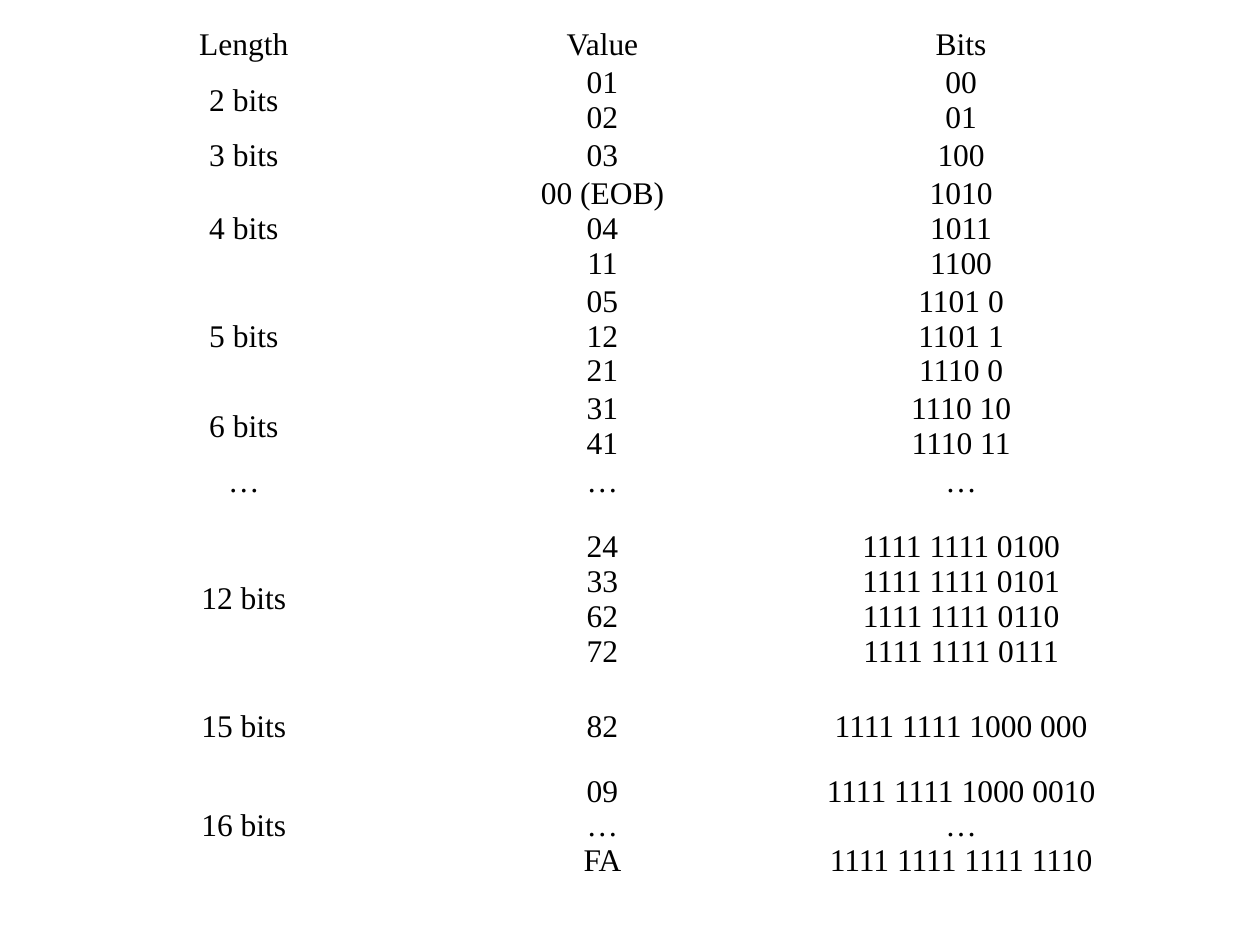
from pptx import Presentation
from pptx.dml.color import RGBColor
from pptx.enum.text import MSO_ANCHOR, PP_ALIGN
from pptx.util import Cm, Pt

BLACK = RGBColor(0x00, 0x00, 0x00)
WHITE = RGBColor(0xFF, 0xFF, 0xFF)
FONT = "Times New Roman"
COLUMN_WIDTH = Cm(7.23)
CODES = [
    (0.38, "Length", "Value", "Bits"),
    (0.38, "2 bits", "01\n02", "00\n01"),
    (0.38, "3 bits", "03", "100"),
    (1.04, "4 bits", "00 (EOB)\n04\n11", "1010\n1011\n1100"),
    (1.04, "5 bits", "05\n12\n21", "1101 0\n1101 1\n1110 0"),
    (0.71, "6 bits", "31\n41", "1110 10\n1110 11"),
    (0.23, "…", "…", "…"),
    (3.96, "12 bits", "24\n33\n62\n72",
     "1111 1111 0100\n1111 1111 0101\n1111 1111 0110\n1111 1111 0111"),
    (1.19, "15 bits", "82", "1111 1111 1000 000"),
    (2.82, "16 bits", "09\n…\nFA",
     "1111 1111 1000 0010\n…\n1111 1111 1111 1110"),
]


def write_text(tf, text, size=18, color=BLACK, align=PP_ALIGN.CENTER):
    p = tf.paragraphs[0]
    p.text = text
    p.alignment = align
    for r in p.runs:
        r.font.name = FONT
        r.font.size = Pt(size)
        r.font.color.rgb = color


def fill_cell(cell, text):
    cell.fill.solid()
    cell.fill.fore_color.rgb = WHITE
    cell.vertical_anchor = MSO_ANCHOR.MIDDLE
    cell.margin_left = cell.margin_right = Cm(0.05)
    cell.margin_top = cell.margin_bottom = Cm(0.03)
    write_text(cell.text_frame, text)


def add_code_table(slide):
    height = Cm(18.26)
    frame = slide.shapes.add_table(
        len(CODES), 3, Cm(1.3), Cm(0.53), COLUMN_WIDTH * 3, height)
    table = frame.table
    table.first_row = False
    table.horz_banding = False
    for column in table.columns:
        column.width = COLUMN_WIDTH
    for row, (row_height, *texts) in zip(table.rows, CODES):
        row.height = Cm(row_height)
        for cell, text in zip(row.cells, texts):
            fill_cell(cell, text)
    frame.height = height


def main():
    """Build the slide with the table of code lengths, values and bits."""
    prs = Presentation()
    prs.slide_width = Cm(25.4)
    prs.slide_height = Cm(19.05)
    slide = prs.slides.add_slide(prs.slide_layouts[6])
    add_code_table(slide)
    prs.save("out.pptx")


if __name__ == "__main__":
    main()
